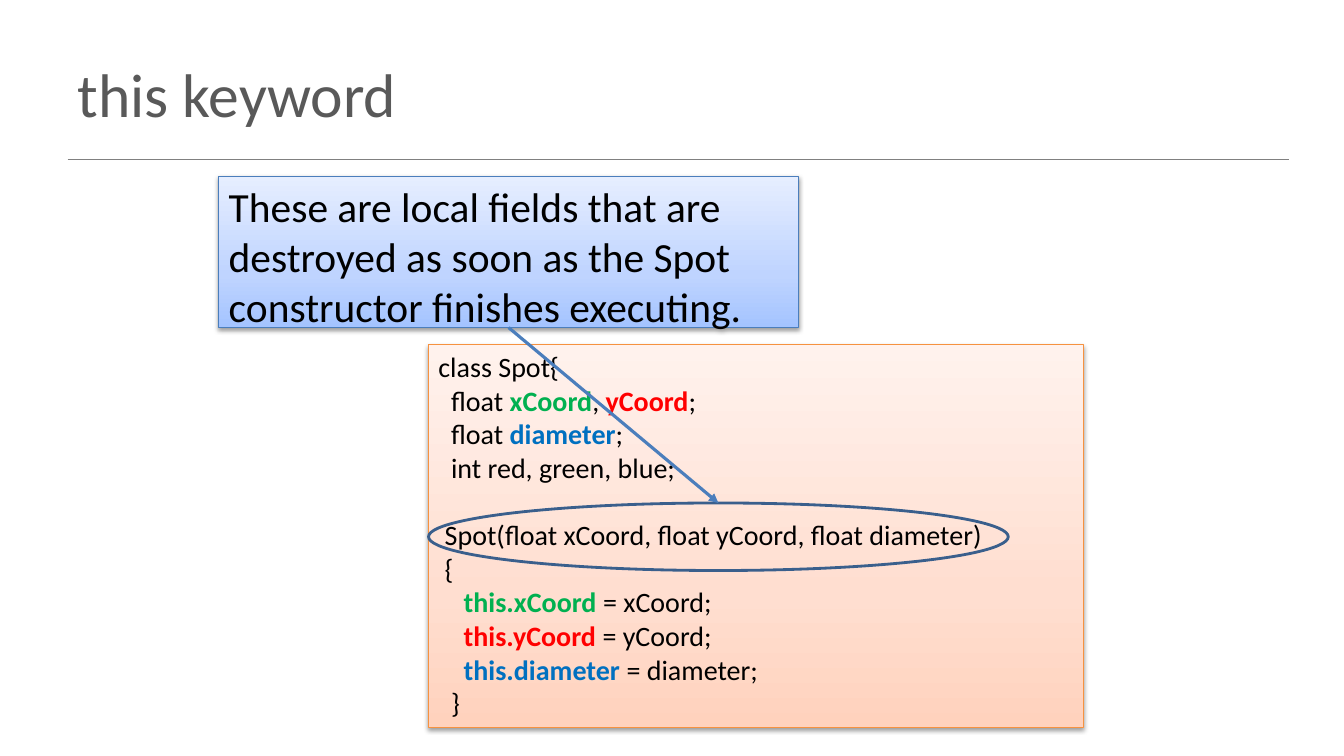
"""Builds a slide on the this keyword, with a Spot class and a callout."""
from lxml import etree
from pptx import Presentation
from pptx.dml.color import RGBColor
from pptx.enum.shapes import MSO_CONNECTOR, MSO_SHAPE
from pptx.enum.text import MSO_ANCHOR, PP_ALIGN
from pptx.oxml import parse_xml
from pptx.oxml.ns import nsdecls, qn
from pptx.util import Inches, Pt

STRAIGHT = MSO_CONNECTOR.STRAIGHT
RECTANGLE, OVAL = MSO_SHAPE.RECTANGLE, MSO_SHAPE.OVAL
TOP, MIDDLE = MSO_ANCHOR.TOP, MSO_ANCHOR.MIDDLE
LEFT = PP_ALIGN.LEFT
COLORS = {
    "title": "595959", "rule": "808080", "text": "000000",
    "x": "00B050", "y": "FF0000", "diameter": "0070C0",
    "arrow": "4B7EBC", "ring": "3A5F8C", "code_edge": "F69240",
}
BLUES = {0: "A4C4FF", 35: "BFD4FF", 100: "E6EEFF"}
ORANGES = {0: "FFD2BD", 35: "FFDED0", 100: "FFF2ED"}
CODE = [
    [("class Spot{", "text")],
    [("  float ", "text"), ("xCoord", "x"), (", ", "text"), ("yCoord", "y"), (";", "text")],
    [("  float ", "text"), ("diameter", "diameter"), (";", "text")],
    [("  int red, green, blue;", "text")],
    [(" Spot(float xCoord, float yCoord, float diameter)", "text")],
    [(" {", "text")],
    [("    this.xCoord ", "x"), ("= xCoord;", "text")],
    [("    this.yCoord ", "y"), ("= yCoord;", "text")],
    [("    this.diameter ", "diameter"), ("= diameter;", "text")],
    [("  }", "text")],
]
CONSTRUCTOR_LINE = 4


def add_panel(left, top, width, height, stops, edge, size, lines):
    """Add a shaded box with a soft shadow and lines of coloured runs."""
    panel = slide.shapes.add_shape(
        RECTANGLE, Inches(left), Inches(top), Inches(width), Inches(height))
    gradient = "".join(
        f'<a:gs pos="{place * 1000}"><a:srgbClr val="{color}"/></a:gs>'
        for place, color in stops.items())
    properties = panel.element.spPr
    properties.insert(2, parse_xml(
        f'<a:gradFill {nsdecls("a")} rotWithShape="1"><a:gsLst>{gradient}</a:gsLst>'
        '<a:lin ang="16200000" scaled="0"/></a:gradFill>'))
    panel.line.color.rgb = RGBColor.from_string(COLORS[edge])
    panel.line.width = Pt(0.75)
    panel.shadow.inherit = False
    properties.find(qn("a:effectLst")).append(parse_xml(
        f'<a:outerShdw {nsdecls("a")} blurRad="{Pt(3.1)}" dist="{Pt(1.6)}" dir="5400000" '
        'rotWithShape="0"><a:srgbClr val="000000"><a:alpha val="38000"/></a:srgbClr>'
        '</a:outerShdw>'))
    frame = panel.text_frame
    frame.word_wrap = True
    frame.vertical_anchor = TOP
    for number, runs in enumerate(lines):
        paragraph = frame.add_paragraph() if number else frame.paragraphs[0]
        paragraph.alignment = LEFT
        for words, color in runs:
            run = paragraph.add_run()
            run.text = words
            font_format = {"name": "Calibri", "size": Pt(size), "bold": color != "text"}
            for key, value in font_format.items():
                setattr(run.font, key, value)
            run.font.color.rgb = RGBColor.from_string(COLORS[color])
    return panel


def add_line(start, end, color, width):
    """Add a straight line without a shadow."""
    line = slide.shapes.add_connector(STRAIGHT, *map(Inches, start + end))
    line.line.color.rgb = RGBColor.from_string(COLORS[color])
    line.line.width = Pt(width)
    etree.SubElement(line.element.spPr, qn("a:effectLst"))
    return line


presentation = Presentation()
presentation.slide_width, presentation.slide_height = Inches(13.33), Inches(7.5)
slide = presentation.slides.add_slide(presentation.slide_layouts[5])

heading = slide.shapes.title
heading_place = {"left": 0.67, "top": 0.3, "width": 12, "height": 1.25}
for side, inches in heading_place.items():
    setattr(heading, side, Inches(inches))
heading.text_frame.text = "this keyword"
heading.text_frame.vertical_anchor = MIDDLE
heading_line = heading.text_frame.paragraphs[0]
heading_line.alignment = LEFT
for key, value in {"name": "Calibri", "size": Pt(44)}.items():
    setattr(heading_line.font, key, value)
heading_line.font.color.rgb = RGBColor.from_string(COLORS["title"])

add_line((0.67, 1.58), (12.78, 1.58), "rule", 1)

callout = add_panel(2.17, 1.75, 5.75, 1.5, BLUES, "arrow", 29.6, [[(
    "These are local fields that are destroyed as soon as the Spot "
    "constructor finishes executing.", "text")]])
spot_class = add_panel(4.25, 3.42, 6.5, 3.8, ORANGES, "code_edge", 20, CODE)
spot_class.text_frame.paragraphs[CONSTRUCTOR_LINE].space_before = Pt(24)

parameter_ring = slide.shapes.add_shape(
    OVAL, Inches(4.25), Inches(4.99), Inches(5.75), Inches(0.67))
parameter_ring.shadow.inherit = False
parameter_ring.fill.background()
parameter_ring.line.color.rgb = RGBColor.from_string(COLORS["ring"])
parameter_ring.line.width = Pt(2)

arrow = add_line((5.04, 3.25), (7.12, 4.99), "arrow", 2.25)
arrow.begin_connect(callout, 2)
arrow.end_connect(parameter_ring, 0)
etree.SubElement(arrow.element.spPr.find(qn("a:ln")), qn("a:tailEnd"), type="triangle")

presentation.save("out.pptx")
